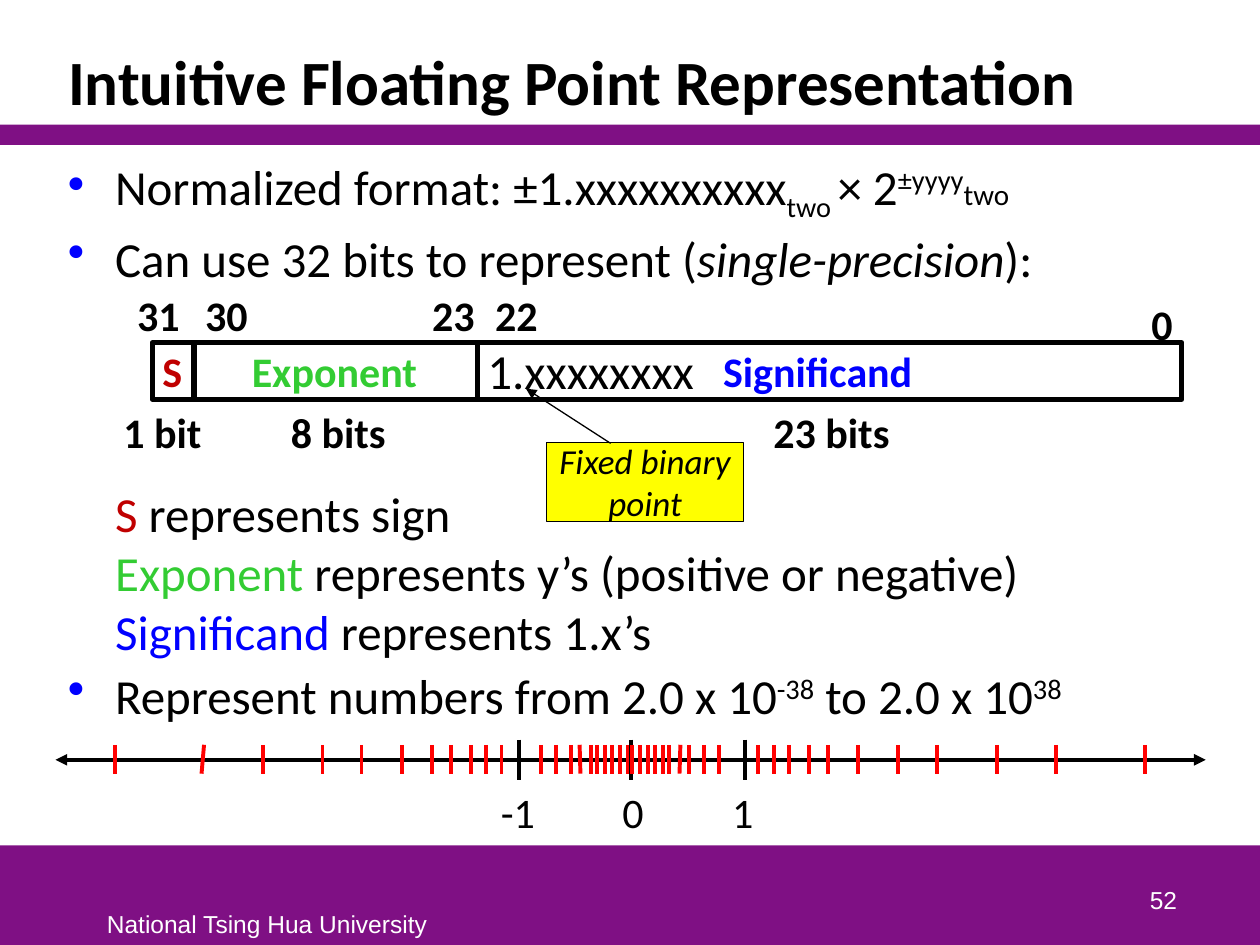
from dataclasses import dataclass
from typing import Optional

from lxml.etree import SubElement
from pptx import Presentation
from pptx.dml.color import RGBColor
from pptx.enum.shapes import MSO_CONNECTOR, MSO_SHAPE
from pptx.enum.text import MSO_ANCHOR, MSO_AUTO_SIZE, PP_ALIGN
from pptx.oxml.ns import qn
from pptx.util import Pt

BLACK = RGBColor(0x00, 0x00, 0x00)
WHITE = RGBColor(0xFF, 0xFF, 0xFF)
PURPLE = RGBColor(0x7F, 0x10, 0x84)
RED = RGBColor(0xFF, 0x00, 0x00)
DARK_RED = RGBColor(0xC0, 0x00, 0x00)
GREEN = RGBColor(0x33, 0xCC, 0x33)
BLUE = RGBColor(0x00, 0x00, 0xFF)
YELLOW = RGBColor(0xFF, 0xFF, 0x00)

BODY_FONT = {"name": "Calibri", "size": Pt(28)}
FIELD_FONT = {"name": "Calibri", "size": Pt(24), "bold": True}
AXIS_FONT = {"name": "Calibri", "size": Pt(24)}
FOOTER_FONT = {"name": "Arial", "size": Pt(14)}
BODY_INDENT = 27


@dataclass
class Label:
    text: str
    left: float
    top: float
    width: float
    color: RGBColor = BLACK


@dataclass
class Span:
    text: str
    color: RGBColor = BLACK
    baseline: int = 0
    italic: bool = False
    size: float = 28
    ends_line: bool = False


@dataclass
class BodyParagraph:
    spans: list[Span]
    space_before: Optional[float] = 3
    bullet: bool = True


FIELD_LABELS = [
    Label("0", 650.9, 167, 26.6),
    Label("31", 71.3, 162, 38.9),
    Label("30", 110.2, 162, 38.9),
    Label("23", 239.8, 162, 38.9),
    Label("22", 275.8, 162, 38.9),
    Label("S", 85.7, 193.7, 24.5, DARK_RED),
    Label("Exponent", 136.8, 193.7, 110.2, GREEN),
    Label("Significand", 406.1, 193.7, 123.8, BLUE),
    Label("1 bit", 63.4, 229, 59.8),
    Label("8 bits", 159.1, 229, 69.1),
    Label("23 bits", 434.9, 229, 81.4),
]
AXIS_LABELS = [
    Label("-1", 278.6, 445.7, 34.6),
    Label("0", 348.5, 445.7, 26.6),
    Label("1", 411.1, 445.7, 26.6),
]
FIELD_DIVIDERS = [110.9, 272.9]
AXIS_Y = 434.2
AXIS_MARKS = [296.6, 360.7, 425.5]
# Representable numbers lie symmetrically around the slide's centre line
CENTER_X = 360
TICK_OFFSETS = [1.4, 5.8, 10.1, 14.4, 18.7, 22.3, 28.8, 33.8, 42.5, 51.1, 73.4,
                82.1, 90.7, 102.2, 113, 130.3, 153.4, 175.7, 209.5, 243.4, 294.5]
TICK_LEANS = {-243.4: -1.4, -28.8: 0.5, 28.8: -0.5}

BODY = [
    BodyParagraph([
        Span("Normalized format: ±1.xxxxxxxxxx"),
        Span("two ", baseline=-25000),
        Span("× 2"),
        Span("±yyyy", baseline=30000),
        Span("two", size=16.6),
    ], space_before=None),
    BodyParagraph([
        Span("Can use 32 bits to represent ("),
        Span("single-precision", italic=True),
        Span("):"),
    ]),
    BodyParagraph([
        Span("S", DARK_RED),
        Span(" represents sign", ends_line=True),
        Span("Exponent", GREEN),
        Span(" represents y’s (positive or negative)", ends_line=True),
        Span("Significand", BLUE),
        Span(" represents 1.x’s"),
    ], space_before=112, bullet=False),
    BodyParagraph([
        Span("Represent numbers from 2.0 x 10"),
        Span("-38", baseline=30000),
        Span(" to 2.0 x 10"),
        Span("38", baseline=30000),
    ]),
]


def apply_format(target, values: dict) -> None:
    for key, value in values.items():
        setattr(target, key, value)


def add_arrowheads(shape, *ends: str) -> None:
    line_xml = shape.line._get_or_add_ln()
    for end in ends:
        SubElement(line_xml, qn(f"a:{end}"), type="triangle")


def add_box(slide, preset, left: float, top: float, width: float, height: float,
            fill: Optional[RGBColor] = None, line_width: float = 0):
    box = slide.shapes.add_shape(preset, Pt(left), Pt(top), Pt(width), Pt(height))
    box.shadow.inherit = False
    if fill is None:
        box.fill.background()
    else:
        box.fill.solid()
        box.fill.fore_color.rgb = fill
    if line_width:
        box.line.color.rgb = BLACK
        box.line.width = Pt(line_width)
    else:
        box.line.fill.background()
    return box


def add_line(slide, x1: float, y1: float, x2: float, y2: float,
             color: RGBColor = BLACK, width: float = 2.25):
    line = slide.shapes.add_connector(
        MSO_CONNECTOR.STRAIGHT, Pt(x1), Pt(y1), Pt(x2), Pt(y2))
    line.line.color.rgb = color
    line.line.width = Pt(width)
    SubElement(line._element.spPr, qn("a:effectLst"))
    return line


def set_text(frame, text: str, font: dict, color: RGBColor, align=PP_ALIGN.LEFT) -> None:
    paragraph = frame.paragraphs[0]
    paragraph.alignment = align
    run = paragraph.add_run()
    run.text = text
    apply_format(run.font, font)
    run.font.color.rgb = color


def add_label(slide, label: Label, font: dict, align=PP_ALIGN.LEFT, height: float = 36):
    box = slide.shapes.add_textbox(
        Pt(label.left), Pt(label.top), Pt(label.width), Pt(height))
    box.text_frame.word_wrap = False
    set_text(box.text_frame, label.text, font, label.color, align)
    return box


def add_body_paragraph(paragraph, content: BodyParagraph) -> None:
    properties = paragraph._p.get_or_add_pPr()
    properties.set("marL", str(Pt(BODY_INDENT)))
    properties.set("indent", str(Pt(-BODY_INDENT if content.bullet else 0)))
    if content.bullet:
        bullet_color = SubElement(properties, qn("a:buClr"))
        SubElement(bullet_color, qn("a:srgbClr"), val=str(BLUE))
        SubElement(properties, qn("a:buChar"), char="•")
    if content.space_before is not None:
        paragraph.space_before = Pt(content.space_before)
    for span in content.spans:
        run = paragraph.add_run()
        run.text = span.text
        apply_format(run.font, {**BODY_FONT, "size": Pt(span.size), "italic": span.italic})
        run.font.color.rgb = span.color
        if span.baseline:
            run._r.get_or_add_rPr().set("baseline", str(span.baseline))
        if span.ends_line:
            paragraph.add_line_break()


def add_title(slide) -> None:
    title = slide.shapes.title
    apply_format(title, {"left": Pt(31.7), "top": Pt(18), "width": Pt(656.6), "height": Pt(53.3)})
    apply_format(title.text_frame, {"vertical_anchor": MSO_ANCHOR.BOTTOM, "word_wrap": True,
                                    "auto_size": MSO_AUTO_SIZE.NONE})
    set_text(title.text_frame, "Intuitive Floating Point Representation",
             {"name": "Calibri", "size": Pt(36), "bold": True}, BLACK)
    title.text_frame.paragraphs[0].line_spacing = 0.85


def add_body(slide) -> None:
    body = slide.shapes.add_textbox(Pt(31.7), Pt(82.8), Pt(656.6), Pt(398.2))
    frame = body.text_frame
    apply_format(frame, {"word_wrap": True, "margin_top": Pt(6.6)})
    for index, content in enumerate(BODY):
        add_body_paragraph(frame.add_paragraph() if index else frame.paragraphs[0], content)


def add_bit_fields(slide) -> None:
    add_box(slide, MSO_SHAPE.RECTANGLE, 87.1, 195.8, 588.2, 32.4, line_width=3)
    for x in FIELD_DIVIDERS:
        add_line(slide, x, 195.8, x, 229, width=3)
    for label in FIELD_LABELS:
        add_label(slide, label, FIELD_FONT)


def add_number_line(slide) -> None:
    axis = add_line(slide, 31.7, AXIS_Y, 689, AXIS_Y)
    add_arrowheads(axis, "headEnd", "tailEnd")
    for x in AXIS_MARKS:
        add_line(slide, x, AXIS_Y - 11.5, x, AXIS_Y + 11.5)
    for label in AXIS_LABELS:
        add_label(slide, label, AXIS_FONT, PP_ALIGN.CENTER)
    for distance in TICK_OFFSETS:
        for offset in (-distance, distance):
            x = CENTER_X + offset
            add_line(slide, x, AXIS_Y - 8.6, x + TICK_LEANS.get(offset, 0), AXIS_Y + 7.9, RED)


def add_binary_point_callout(slide) -> None:
    add_label(slide, Label("1.xxxxxxxx", 271.4, 190.8, 133.9), BODY_FONT, height=41)
    callout = add_box(slide, MSO_SHAPE.LINE_CALLOUT_1, 312.5, 252.7, 112.3, 45.4, YELLOW, 0.75)
    for index, value in enumerate((0.015, 0.325, -0.673, -0.106)):
        callout.adjustments[index] = value
    add_arrowheads(callout, "tailEnd")
    apply_format(callout.text_frame, {"word_wrap": True, "vertical_anchor": MSO_ANCHOR.MIDDLE})
    set_text(callout.text_frame, "Fixed binary point",
             {"name": "Calibri", "size": Pt(20), "italic": True}, BLACK, PP_ALIGN.CENTER)


def main() -> None:
    deck = Presentation()
    apply_format(deck, {"slide_width": Pt(720), "slide_height": Pt(540)})
    slide = deck.slides.add_slide(deck.slide_layouts[5])
    for top, height in ((483.1, 56.9), (71.3, 11.5)):
        add_box(slide, MSO_SHAPE.RECTANGLE, 0, top, 720, height, PURPLE)
    add_label(slide, Label("National Tsing Hua University", 54, 516.2, 198.7, WHITE),
              FOOTER_FONT, height=23.8)
    add_title(slide)
    add_body(slide)
    add_bit_fields(slide)
    page_number = add_label(slide, Label("52", 529.9, 490.3, 149.8, WHITE),
                            FOOTER_FONT, PP_ALIGN.RIGHT)
    apply_format(page_number.text_frame,
                 {"word_wrap": True, "vertical_anchor": MSO_ANCHOR.BOTTOM})
    add_number_line(slide)
    add_binary_point_callout(slide)
    deck.save("out.pptx")


if __name__ == "__main__":
    main()
